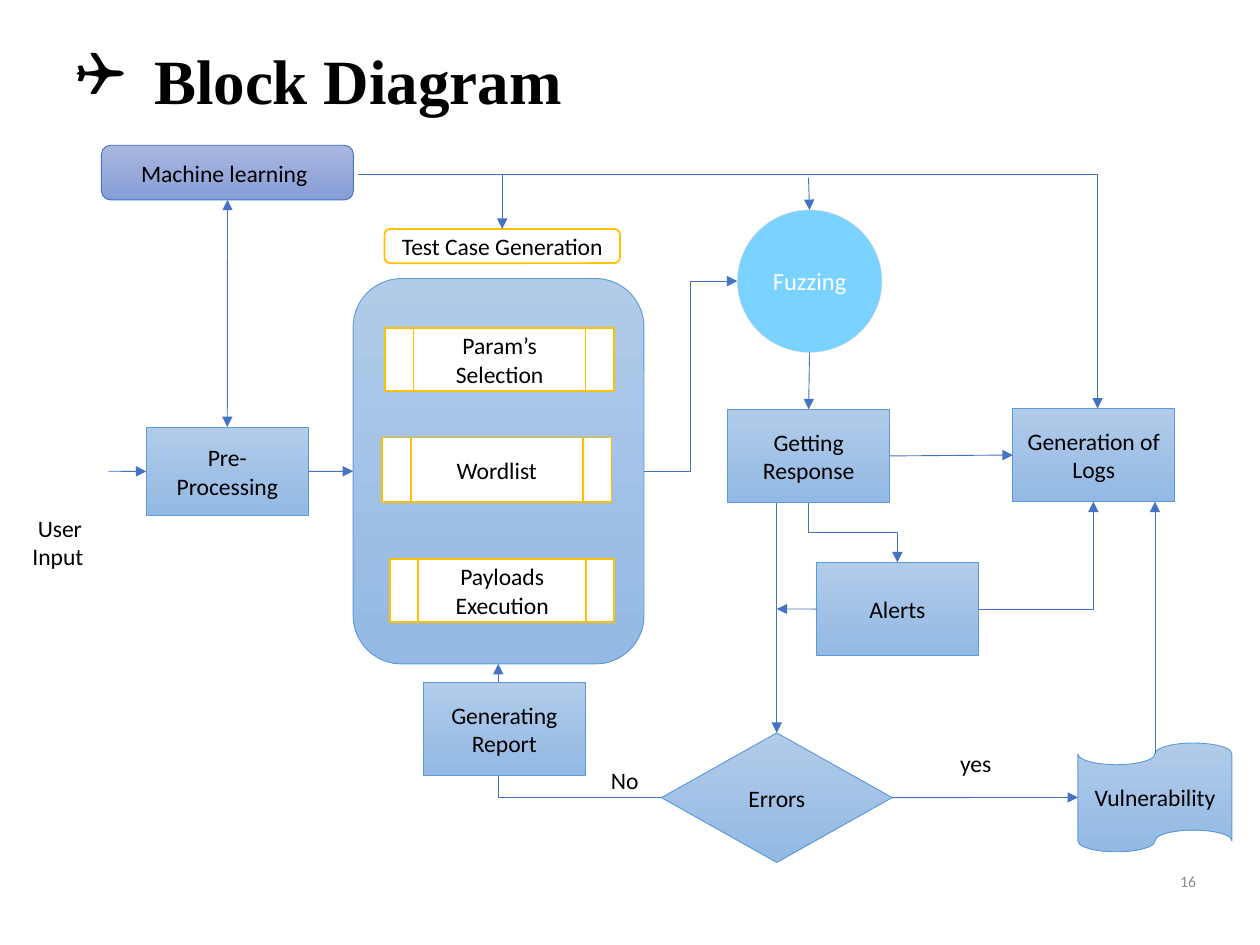
from lxml import etree
from pptx import Presentation
from pptx import util as u
from pptx.dml.color import RGBColor
from pptx.enum import shapes, text
from pptx.oxml.ns import qn

BLACK = RGBColor(0x00, 0x00, 0x00)
WHITE = RGBColor(0xFF, 0xFF, 0xFF)
GREY = RGBColor(0x8C, 0x8C, 0x8C)
GOLD = RGBColor(0xFF, 0xC0, 0x00)
SKY = RGBColor(0x79, 0xD2, 0xFF)
PALE = RGBColor(0xD6, 0xDC, 0xE5)
BLUE_EDGE = RGBColor(0x5B, 0x9B, 0xD5)
ARROW = RGBColor(0x44, 0x72, 0xC4)
BLUE_FADE = (RGBColor(0xB1, 0xCB, 0xE9), RGBColor(0x93, 0xB9, 0xE4))
INDIGO_FADE = (RGBColor(0xA8, 0xB7, 0xDF), RGBColor(0x88, 0x9E, 0xD7))

Pt = u.Pt
KIND = shapes.MSO_SHAPE
ALIGN = text.PP_ALIGN

deck = Presentation()
deck.slide_width, deck.slide_height = Pt(720), Pt(540)
slide = deck.slides.add_slide(deck.slide_layouts[6])


def write(holder, words, align, **font):
    """Fill a shape or text box with lines of one font."""
    holder.text_frame.text = words
    look = {"name": "Calibri", "size": Pt(13.5), **font}
    color = look.pop("color", BLACK)
    for line in holder.text_frame.paragraphs:
        line.alignment = align
        for run in line.runs:
            run.font.color.rgb = color
            for key, value in look.items():
                setattr(run.font, key, value)


def link(start, end, bend=None, begin=None, finish=None, both=False):
    """Draw an arrow; begin and finish are (block, side) joints."""
    (x1, y1), (x2, y2) = start, end
    if bend == "down first":  # a quarter turn swaps width and height
        mx, my, w, h = (x1 + x2) / 2, (y1 + y2) / 2, y2 - y1, x2 - x1
        x1, x2, y1, y2 = mx + w / 2, mx - w / 2, my - h / 2, my + h / 2
    style = shapes.MSO_CONNECTOR.ELBOW if bend else shapes.MSO_CONNECTOR.STRAIGHT
    arrow = slide.shapes.add_connector(style, Pt(x1), Pt(y1), Pt(x2), Pt(y2))
    if begin:
        arrow.begin_connect(*begin)
    if finish:
        arrow.end_connect(*finish)
    arrow.line.color.rgb = ARROW
    arrow.line.width = Pt(0.5)
    props = arrow._element.spPr
    if bend == "corner":
        props.find(qn("a:prstGeom")).set("prst", "bentConnector2")
    if bend == "down first":
        props.find(qn("a:xfrm")).set("rot", str(270 * 60000))
    ln = props.find(qn("a:ln"))
    for tip in ("a:headEnd", "a:tailEnd") if both else ("a:tailEnd",):
        etree.SubElement(ln, qn(tip), type="triangle")
    etree.SubElement(props, qn("a:effectLst"))


# Line from Errors to the panel, behind the report block
link((378, 455.8), (284.8, 379.4), "corner")

# Blocks: kind, left, top, width, height, fill, edge, edge width, words
FADED = (BLUE_FADE, BLUE_EDGE, 0.5)
FRAMED = (WHITE, GOLD, 1)
SIZE = (92.4, 53.3)
blocks = {}
for key, kind, box, (fill, edge, weight), words in (
    ("pre", KIND.RECTANGLE, (83.6, 244, 92.6, 50.8), FADED, "Pre-Processing"),
    ("panel", KIND.ROUNDED_RECTANGLE, (201.8, 159.2, 166.2, 220.2), FADED, ""),
    ("response", KIND.RECTANGLE, (415.9, 233.9, *SIZE), FADED, "Getting\nResponse"),
    ("logs", KIND.RECTANGLE, (578.8, 233.4, *SIZE), FADED, "Generation of Logs"),
    ("errors", KIND.FLOWCHART_DECISION, (378, 418.8, 131.8, 74), FADED, "Errors"),
    ("flaw", KIND.FLOWCHART_PUNCHED_TAPE, (616, 424.6, 88, 62.2), FADED,
     "Vulnerability"),
    ("alerts", KIND.RECTANGLE, (466.6, 321.4, *SIZE), FADED, "Alerts"),
    ("report", KIND.RECTANGLE, (242, 390, *SIZE), FADED, "Generating\nReport"),
    ("params", KIND.FLOWCHART_PREDEFINED_PROCESS, (220, 187.4, 131, 36), FRAMED,
     "Param’s Selection"),
    ("wordlist", KIND.FLOWCHART_PREDEFINED_PROCESS, (218.4, 250, 131, 37), FRAMED,
     "Wordlist"),
    ("payloads", KIND.FLOWCHART_PREDEFINED_PROCESS, (223, 319.4, 128, 36), FRAMED,
     "Payloads\nExecution"),
    ("cases", KIND.FLOWCHART_ALTERNATE_PROCESS, (219.7, 130.8, 134.6, 19.6), FRAMED,
     "Test Case Generation"),
    ("learning", KIND.ROUNDED_RECTANGLE, (58, 83, 144, 31.2),
     (INDIGO_FADE, ARROW, 0.5), ""),
    ("fuzzing", KIND.FLOWCHART_CONNECTOR, (421.4, 120, 82.6, 81.4),
     (SKY, PALE, 0.25), "Fuzzing"),
):
    block = slide.shapes.add_shape(kind, *map(Pt, box))
    block.shadow.inherit = False
    if isinstance(fill, RGBColor):
        block.fill.solid()
        block.fill.fore_color.rgb = fill
    else:
        block.fill.gradient()
        block.fill.gradient_angle = 270
        for stop, shade in zip(block.fill.gradient_stops, fill):
            stop.color.rgb = shade
    block.line.color.rgb = edge
    block.line.width = Pt(weight)
    block.text_frame.vertical_anchor = text.MSO_ANCHOR.MIDDLE
    if words:
        write(block, words, ALIGN.CENTER)
    blocks[key] = block
write(blocks["fuzzing"], "Fuzzing", ALIGN.CENTER, size=Pt(14), color=WHITE)

# Straight arrows
TOP, LEFT, BOTTOM, RIGHT = range(4)
for start, end, joints in (
    ((62, 269.3), (83.6, 269.4), {"finish": ("pre", LEFT)}),
    ((176.2, 269.4), (201.8, 269.3),
     {"begin": ("pre", RIGHT), "finish": ("panel", LEFT)}),
    ((129.9, 114.2), (129.9, 244),
     {"begin": ("learning", BOTTOM), "finish": ("pre", TOP)}),
    ((287, 99.7), (287, 130.8), {"finish": ("cases", TOP)}),
    ((462, 101.5), (462.6, 120), {}),
    ((462.6, 201.4), (462.1, 233.9), {"finish": ("response", TOP)}),
    ((508.3, 260.5), (578.8, 260),
     {"begin": ("response", RIGHT), "finish": ("logs", LEFT)}),
    ((443.9, 287.2), (443.9, 418.8), {"finish": ("errors", TOP)}),
    ((466.6, 348), (443.9, 348), {"begin": ("alerts", LEFT)}),
    ((509.8, 455.8), (616, 455.7),
     {"begin": ("errors", RIGHT), "finish": ("flaw", LEFT)}),
    ((660, 431), (660, 286.7), {}),
):
    ends = {end_name: (blocks[key], side) for end_name, (key, side) in joints.items()}
    link(start, end, both=joints.get("begin") == ("learning", BOTTOM), **ends)

# Bent arrows
for start, end, bend in (
    ((204.5, 99.8), (627.2, 233.4), "corner"),
    ((368, 269.3), (421.4, 160.7), "middle"),
    ((559, 348), (624.8, 286.7), "corner"),
    ((462.1, 287.2), (512.8, 321.4), "down first"),
):
    link(start, end, bend)

# Labels, title and page number
labels = {}
for words, box, wrap, align, font in (
    ("Machine learning", (73.5, 87.3, 315, 23.6), True, ALIGN.LEFT, {}),
    ("yes", (541.5, 424.3, 32.4, 23.6), False, ALIGN.LEFT, {}),
    ("No", (342, 434.3, 30.2, 23.6), False, ALIGN.LEFT, {}),
    (" User\nInput", (11.5, 290, 44, 40.3), False, ALIGN.LEFT, {}),
    ("Block Diagram", (36, 20.2, 636, 51), True, ALIGN.LEFT,
     {"name": "Times New Roman", "size": Pt(36), "bold": True}),
    ("16", (653.8, 493.2, 36.7, 20.9), True, ALIGN.RIGHT,
     {"size": Pt(9), "color": GREY}),
):
    label = slide.shapes.add_textbox(*map(Pt, box))
    label.text_frame.word_wrap = wrap
    write(label, words, align, **font)
    labels[words] = label
labels["16"].text_frame.vertical_anchor = text.MSO_ANCHOR.MIDDLE

# Title bullet
title_format = labels["Block Diagram"].text_frame.paragraphs[0]._p.get_or_add_pPr()
title_format.set("marL", str(Pt(45)))
title_format.set("indent", str(-Pt(45)))
etree.SubElement(title_format, qn("a:buFont"), typeface="Wingdings")
etree.SubElement(title_format, qn("a:buChar"), char="❑")

deck.save("out.pptx")
